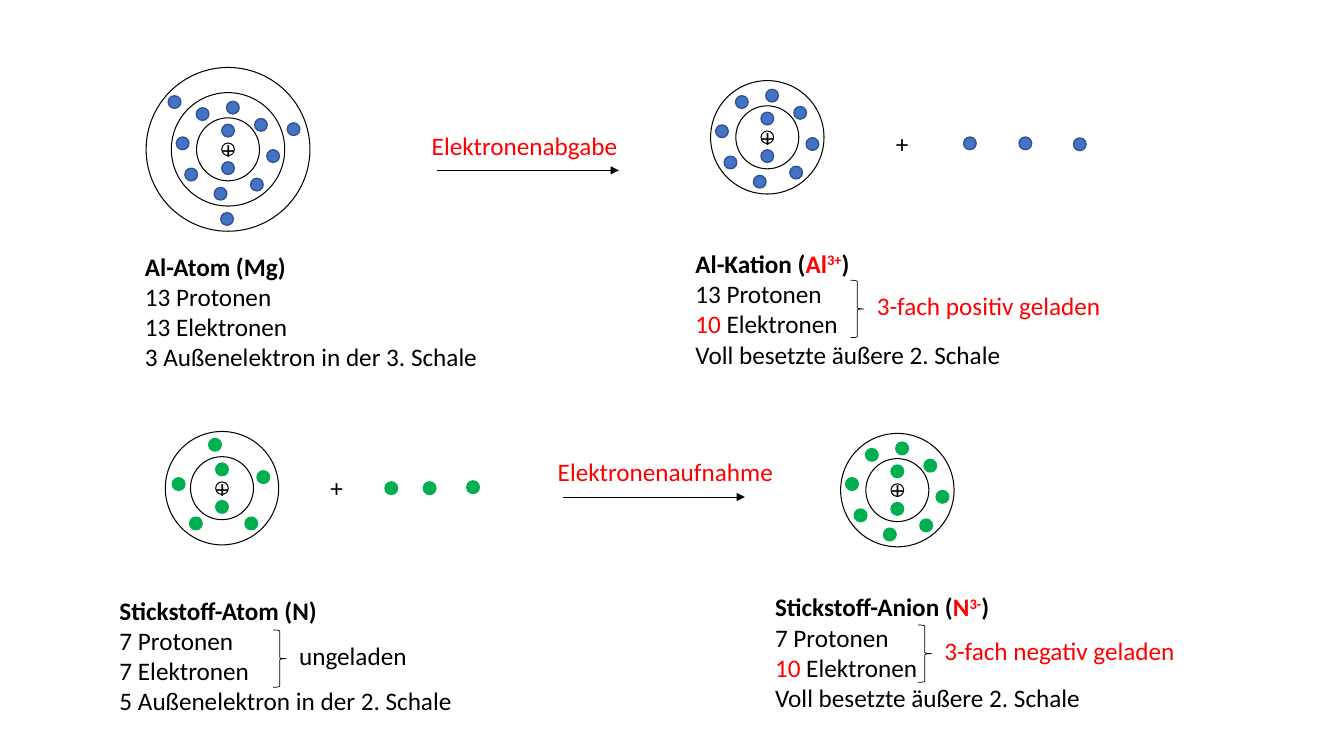
from lxml.etree import SubElement
from pptx import Presentation
from pptx.dml.color import RGBColor as RGB
from pptx.enum.shapes import MSO_CONNECTOR as Link, MSO_SHAPE as Kind
from pptx.enum.text import MSO_AUTO_SIZE as Fit
from pptx.oxml.ns import qn
from pptx.util import Pt

HUES = {"ink": "000000", "paper": "FFFFFF", "red": "FF0000",
        "blue": "4472C4", "navy": "325491", "green": "00B050"}
EDGES = {"blue": "navy", "green": "green"}
DOT = 9
STEP = 36
PAIR = [(0, -13.4), (0, 13.4)]
OCTET = [(23.5, -17.5), (32.2, 4.8), (20.6, 25.2), (3.4, -29.8),
         (-18.2, -25.2), (-32.4, -4.3), (-26.3, 18), (-5.4, 31.7)]
FIVE = [(29.5, -7.9), (20.9, 25.2), (-5, -31), (-31, -2.9), (-18.7, 25.2)]
THREE = [(46.8, -14.4), (-0.7, 49.7), (-38.2, -33.8)]

ATOMS = [
    (162.9, 106.7, "blue", [PAIR, OCTET, THREE]),
    (548.1, 98.1, "blue", [PAIR, OCTET]),
    (158.6, 348.7, "green", [PAIR, FIVE]),
    (641, 350.1, "green", [PAIR, OCTET]),
]
FREE = [
    ("blue", [(692.8, 102.4), (732.4, 102.4), (771.3, 103.1)]),
    ("green", [(279.5, 348.7), (306.9, 348.7), (337.9, 348)]),
]
ION = [[("10", "red"), (" Elektronen", "ink")],
       [("Voll besetzte äußere 2. Schale", "ink")]]
NOTES = [
    (96.5, 175.7, 302, [
        [("Al-Atom (Mg)", "ink bold")],
        [("13 Protonen", "ink")],
        [("13 Elektronen", "ink")],
        [("3 Außenelektron in der 3. Schale", "ink")]]),
    (489.6, 173.7, 322, [
        [("Al-Kation (", "ink bold"), ("Al", "red bold"),
         ("3+", "red bold sup"), (")", "ink bold")],
        [("13 Protonen", "ink")], *ION]),
    (78.3, 421.5, 302, [
        [("Stickstoff-Atom (N)", "ink bold")],
        [("7 Protonen", "ink")],
        [("7 Elektronen", "ink")],
        [("5 Außenelektron in der 2. Schale", "ink")]]),
    (546.5, 419.2, 322, [
        [("Stickstoff-Anion (", "ink bold"), ("N", "red bold"),
         ("3-", "red bold sup"), (")", "ink bold")],
        [("7 Protonen", "ink")], *ION]),
]
BRACES = [
    (607.7, 200.2, 182, "3-fach positiv geladen", "red"),
    (195.1, 450, 109, "ungeladen", "ink"),
    (655.9, 446.4, 182, "3-fach negativ geladen", "red"),
]
ARROWS = [(312.5, 121.7, 151, "Elektronenabgabe"),
          (402.5, 355, 176, "Elektronenaufnahme")]
SIGNS = [(632.9, 87.8), (229, 334.1)]


class Board:
    """Draws atoms, notes, braces and arrows on one slide."""

    def __init__(self, slide):
        self.shapes = slide.shapes
        self.font = "Calibri"
        self.size = 18

    def hue(self, name):
        return RGB.from_string(HUES[name])

    def shape(self, kind, x, y, w, h, fill, edge, width):
        item = self.shapes.add_shape(kind, Pt(x), Pt(y), Pt(w), Pt(h))
        item.shadow.inherit = False
        if fill:
            item.fill.solid()
            item.fill.fore_color.rgb = self.hue(fill)
        else:
            item.fill.background()
        item.line.color.rgb = self.hue(edge)
        item.line.width = Pt(width)

    def disc(self, x, y, size, fill, edge="ink", width=0.75):
        self.shape(Kind.OVAL, x - size / 2, y - size / 2, size, size,
                   fill, edge, width)

    def dots(self, spots, tint, x=0, y=0):
        for dx, dy in spots:
            self.disc(x + dx, y + dy, DOT, tint, EDGES[tint], 1)

    def text(self, x, y, w, lines):
        box = self.shapes.add_textbox(Pt(x), Pt(y), Pt(w),
                                      Pt(7.2 + 21.8 * len(lines)))
        frame = box.text_frame
        frame.word_wrap = True
        frame.auto_size = Fit.SHAPE_TO_FIT_TEXT
        for i, line in enumerate(lines):
            para = frame.add_paragraph() if i else frame.paragraphs[0]
            for words, style in line:
                tint, *marks = style.split()
                run = para.add_run()
                run.text = words
                run.font.name = self.font
                run.font.size = Pt(self.size)
                run.font.bold = "bold" in marks
                run.font.color.rgb = self.hue(tint)
                if "sup" in marks:
                    run._r.get_or_add_rPr().set("baseline", "30000")

    def atom(self, x, y, tint, shells):
        for n in range(len(shells), 0, -1):
            self.disc(x, y, DOT + STEP * n, "paper")
        self.disc(x, y, DOT, None)
        self.text(x - 11.3, y - 14.5, 23, [[("+", "ink")]])
        for spots in shells:
            self.dots(spots, tint, x, y)

    def brace(self, x, y, w, words, tint):
        self.shape(Kind.RIGHT_BRACE, x, y, 9.4, 41, None, "ink", 0.5)
        self.text(x + 11.5, y + 3.6, w, [[(words, tint)]])

    def arrow(self, x, y, w, words):
        line = self.shapes.add_connector(Link.STRAIGHT, Pt(x), Pt(y),
                                         Pt(x + 129.6), Pt(y))
        line.line.color.rgb = self.hue("ink")
        line.line.width = Pt(0.5)
        SubElement(line.line._get_or_add_ln(), qn("a:tailEnd"), type="triangle")
        SubElement(line._element.spPr, qn("a:effectLst"))
        self.text(x - 11.2, y - 32.4, w, [[(words, "red")]])


def main():
    deck = Presentation()
    deck.slide_width, deck.slide_height = Pt(960), Pt(540)
    board = Board(deck.slides.add_slide(deck.slide_layouts[6]))
    for atom in ATOMS:
        board.atom(*atom)
    for tint, spots in FREE:
        board.dots(spots, tint)
    for x, y in SIGNS:
        board.text(x, y, 39, [[("+", "ink")]])
    for note in NOTES:
        board.text(*note)
    for brace in BRACES:
        board.brace(*brace)
    for arrow in ARROWS:
        board.arrow(*arrow)
    deck.save("out.pptx")


if __name__ == "__main__":
    main()
